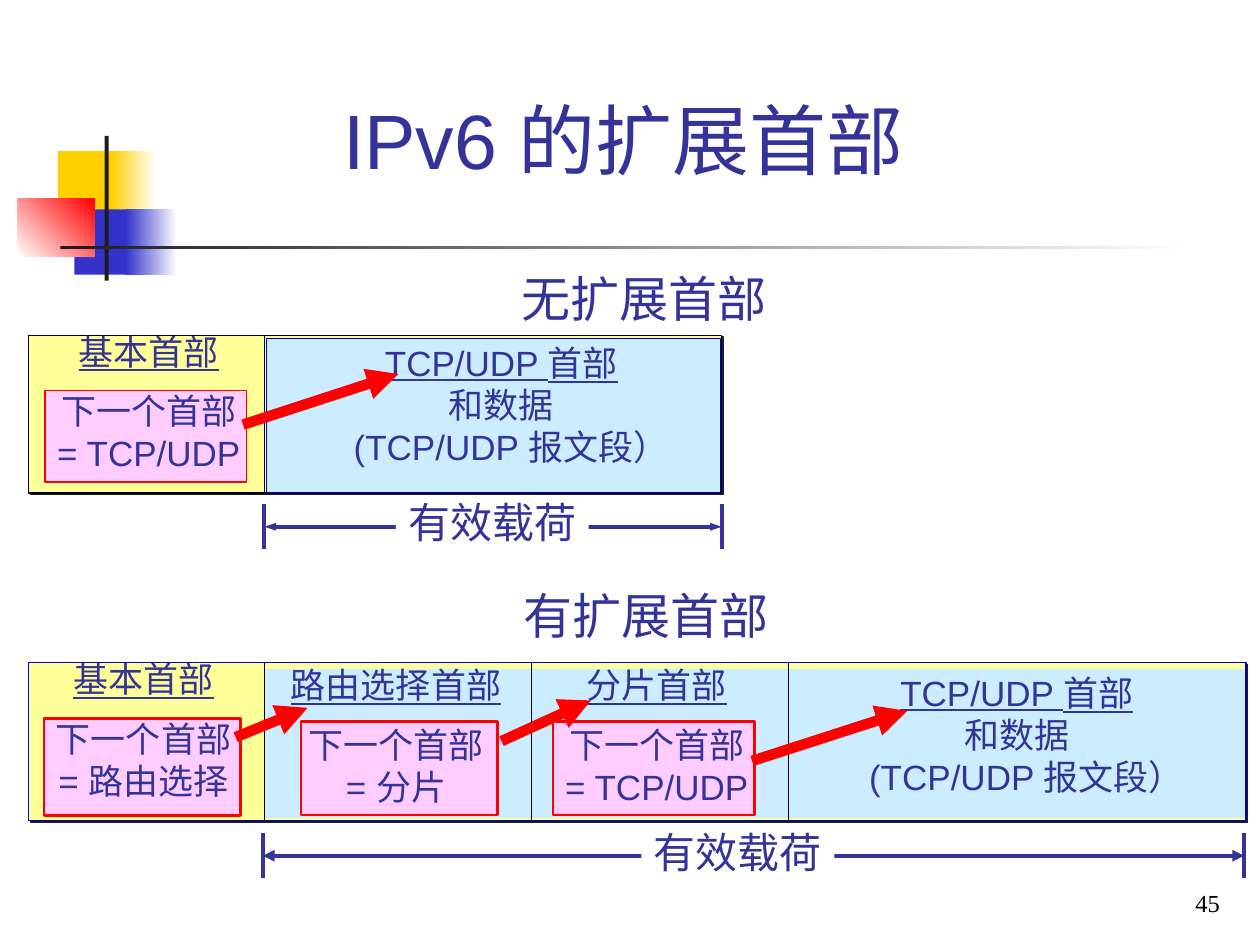
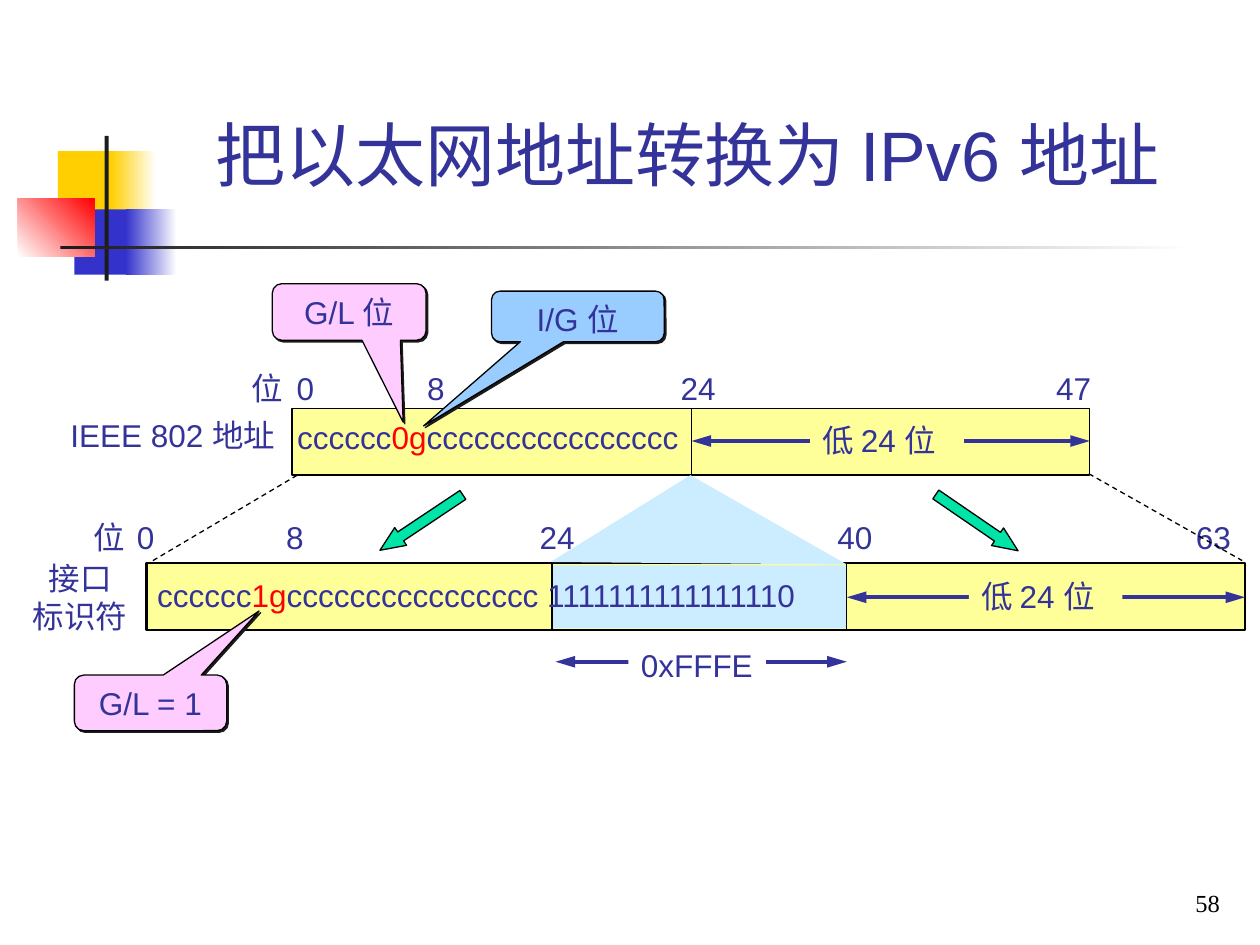
from lxml import etree
from pptx import Presentation
from pptx.dml.color import RGBColor
from pptx.enum.dml import MSO_LINE_DASH_STYLE as Dash
from pptx.enum.shapes import MSO_CONNECTOR as Connector, MSO_SHAPE as Shape
from pptx.enum.text import MSO_ANCHOR as Anchor, PP_ALIGN as Align
from pptx.oxml.ns import qn
from pptx.util import Cm, Pt

INK = RGBColor(0x33, 0x33, 0x99)
BLACK = RGBColor(0, 0, 0)
WHITE = RGBColor(0xFF, 0xFF, 0xFF)
CHARCOAL = RGBColor(0x1C, 0x1C, 0x1C)
RED = RGBColor(0xFF, 0, 0)
GOLD = RGBColor(0xFF, 0xCF, 0x01)
BLUE = RGBColor(0x33, 0x33, 0xCC)
EDGE_BLUE = RGBColor(0, 0, 0xCC)
YELLOW = RGBColor(0xFF, 0xFF, 0x99)
PINK = RGBColor(0xFF, 0xCC, 0xFF)
PALE_BLUE = RGBColor(0xCC, 0xEC, 0xFF)
SKY = RGBColor(0x99, 0xCC, 0xFF)
GREEN = RGBColor(0, 0xE4, 0xA8)

ROW_HEIGHT = 3.18
BAR_HEIGHT = 1.35
LINE_HEIGHT = 1.02


def style_shape(shape, fill, line=None, weight=0.75, shadow=False):
    shape.shadow.inherit = False
    shape.fill.solid()
    shape.fill.fore_color.rgb = fill
    if line is None:
        shape.line.fill.background()
    else:
        shape.line.color.rgb = line
        shape.line.width = Pt(weight)
    if shadow:
        effects = shape._element.spPr.find(qn("a:effectLst"))
        outer = etree.SubElement(effects, qn("a:outerShdw"), dist=str(Pt(1.4)),
                                 dir="2700000", algn="ctr", rotWithShape="0")
        etree.SubElement(outer, qn("a:srgbClr"), val=str(CHARCOAL))


def add_shape(page, area, fill, kind=Shape.RECTANGLE, adjust=(), **style):
    shape = page.shapes.add_shape(kind, *map(Cm, area))
    for index, value in enumerate(adjust):
        shape.adjustments[index] = value
    style_shape(shape, fill, **style)
    return shape


def add_fade(page, area, start, end, angle=0):
    shape = add_shape(page, area, start)
    shape.fill.gradient()
    shape.fill.gradient_angle = angle
    for stop, position, color in zip(shape.fill.gradient_stops, (0, 1), (start, end)):
        stop.position = position
        stop.color.rgb = color


def add_line(page, start, end, color=BLACK, weight=0.75, dash=None,
             head=False, tail=False, tip=("med", "med")):
    line = page.shapes.add_connector(Connector.STRAIGHT, *map(Cm, (*start, *end)))
    line.line.color.rgb = color
    line.line.width = Pt(weight)
    if dash:
        line.line.dash_style = dash
    for name, wanted in (("a:headEnd", head), ("a:tailEnd", tail)):
        if wanted:
            etree.SubElement(line.line._get_or_add_ln(), qn(name),
                             type="triangle", w=tip[0], len=tip[1])
    etree.SubElement(line._element.spPr, qn("a:effectLst"))


def write(shape, text, size=18, color=INK, font="Arial", align=Align.LEFT,
          anchor=Anchor.TOP, wrap=False, accent=None, headed=False,
          gap=0, shift=0, tabs=()):
    frame = shape.text_frame
    frame.word_wrap = wrap
    frame.vertical_anchor = anchor
    lines = text.split("\n")
    for index, content in enumerate(lines):
        para = frame.paragraphs[0] if index == 0 else frame.add_paragraph()
        para.alignment = align
        if index == 1 and gap:
            para.space_before = Pt(gap)
        properties = para._p.get_or_add_pPr()
        if shift and index == len(lines) - 1:
            properties.set("marL", str(Cm(shift)))
        if tabs:
            tab_list = etree.SubElement(properties, qn("a:tabLst"))
            for stop in tabs:
                etree.SubElement(tab_list, qn("a:tab"), pos=str(Cm(stop)), algn="l")
        for part in content.partition(accent) if accent else (content,):
            span = para.add_run()
            span.text = part
            span.font.name = font
            span.font.size = Pt(size)
            span.font.color.rgb = RED if part == accent else color
            if headed and index == 0:
                span.font.underline = True


def add_text(page, area, text, fill=None, **style):
    box = page.shapes.add_textbox(*map(Cm, area))
    if fill is not None:
        box.fill.solid()
        box.fill.fore_color.rgb = fill
    write(box, text, **style)


def add_page(deck, title, title_area, title_size, number):
    page = deck.slides.add_slide(deck.slide_layouts[6])
    add_shape(page, (1.17, 3.05, 1.22, 1.32), GOLD)
    add_fade(page, (2.24, 3.05, 0.91, 1.32), GOLD, WHITE)
    add_shape(page, (1.5, 4.22, 1.17, 1.32), BLUE)
    add_fade(page, (2.54, 4.22, 1.02, 1.32), BLUE, WHITE)
    add_fade(page, (0.36, 4.01, 1.55, 1.17), WHITE, RED, angle=45)
    add_shape(page, (2.11, 2.74, 0.08, 2.92), CHARCOAL)
    add_fade(page, (1.22, 4.95, 22.86, 0.08), CHARCOAL, WHITE)
    add_text(page, title_area, title, size=title_size, align=Align.CENTER,
             anchor=Anchor.BOTTOM, wrap=True)
    add_text(page, (19.56, 17.35, 5.28, 1.27), number, size=14, color=BLACK,
             font="Times New Roman", align=Align.RIGHT, anchor=Anchor.BOTTOM, wrap=True)
    return page


def add_header(page, name, following, box_area, text_area, weight=1.5):
    add_shape(page, box_area, PINK, line=RED, weight=weight)
    add_text(page, (*text_area, 3.15), f"{name}\n下一个首部\n= {following}",
             size=20, align=Align.CENTER, headed=True, gap=10)


def add_segment(page, left, top):
    add_text(page, (left, top, 7.42, 2.79), "TCP/UDP 首部\n和数据\n(TCP/UDP 报文段）",
             size=20, align=Align.CENTER, headed=True, shift=0.39)


def add_payload(page, left, right, middle, label_left, label_top, tip):
    add_line(page, (left, middle), (right, middle), INK, 2.25,
             head=True, tail=True, tip=tip)
    add_text(page, (label_left, label_top, 3.89, 1.27), "有效载荷", fill=WHITE,
             size=24, align=Align.CENTER)
    for edge in (left, right):
        add_line(page, (edge, middle - 0.46), (edge, middle + 0.44), INK, 2.25)


def add_pointers(page, *pointers):
    for start, end in pointers:
        add_line(page, start, end, RED, 6, tail=True)


def add_range(page, left, right, middle, label, label_area, fill):
    add_line(page, (left, middle), (right, middle), INK, 2.25,
             head=True, tail=True, tip=("med", "lg"))
    add_text(page, (*label_area, LINE_HEIGHT), label, fill=fill)


def add_callout(page, area, text, fill, tip):
    callout = add_shape(page, area, fill, Shape.ROUNDED_RECTANGULAR_CALLOUT,
                        (*tip, 0.167), line=BLACK, shadow=True)
    write(callout, text, align=Align.CENTER, wrap=True)


def build_extension_headers(deck):
    page = add_page(deck, "IPv6 的扩展首部 ", (3.2, 1.52, 19.1, 2.34), 44, "45")
    plain_top, extended_top = 6.76, 13.36

    add_payload(page, 5.33, 14.55, 10.62, 7.98, 9.88, ("sm", "med"))
    add_shape(page, (0.58, plain_top, 13.97, ROW_HEIGHT), YELLOW, line=BLACK, shadow=True)
    add_shape(page, (5.38, 6.83, 9.14, 3.1), PALE_BLUE, line=EDGE_BLUE)
    add_header(page, "基本首部", "TCP/UDP", (0.91, 7.87, 4.06, 1.85),
               (0.89, 6.53, 4.22), weight=0.75)
    add_line(page, (5.33, plain_top), (5.33, plain_top + ROW_HEIGHT))
    add_segment(page, 6.4, plain_top)
    add_pointers(page, ((4.9, 8.56), (8.03, 7.54)))

    add_payload(page, 5.3, 25.08, 17.25, 12.93, 16.54, ("med", "med"))
    add_shape(page, (0.58, extended_top, 24.54, ROW_HEIGHT), YELLOW,
              line=EDGE_BLUE, shadow=True)
    add_shape(page, (5.33, 13.49, 19.76, 3), PALE_BLUE)
    for name, following, box_area, text_area in (
        ("基本首部", "路由选择", (0.89, 14.48, 3.96, 1.96), (0.84, 13.13, 4.11)),
        ("路由选择首部", "分片", (6.07, 14.55, 3.96, 1.88), (5.61, 13.26, 4.75)),
        ("分片首部", "TCP/UDP", (11.15, 14.55, 4.06, 1.88), (11.13, 13.26, 4.22)),
    ):
        add_header(page, name, following, box_area, text_area)
    for edge in (5.33, 10.72, 15.9):
        add_line(page, (edge, extended_top), (edge, extended_top + ROW_HEIGHT))
    add_segment(page, 16.79, 13.41)
    add_pointers(page, ((4.75, 14.86), (6.2, 14.27)),
                 ((10.11, 14.94), (11.91, 14.12)),
                 ((15.16, 15.34), (18.29, 14.33)))

    for left, top, caption in ((10.26, 5.28, "无扩展首部"), (10.31, 11.68, "有扩展首部")):
        add_text(page, (left, top, 5.44, 1.45), caption, size=28, font="Roboto")


def build_address_conversion(deck):
    page = add_page(deck, "把以太网地址转换为 IPv6 地址 ",
                    (3.2, 1.73, 21.64, 2.34), 40, "58")
    address_top, identifier_top = 8.23, 11.35

    add_shape(page, (5.89, address_top, 16.08, BAR_HEIGHT), YELLOW, line=BLACK)
    add_shape(page, (2.95, identifier_top, 22.15, BAR_HEIGHT), YELLOW,
              line=BLACK, weight=1.5)
    add_shape(page, (11.15, 11.4, 5.92, 1.27), PALE_BLUE)
    wedge = page.shapes.build_freeform(Cm(13.92), Cm(9.58))
    wedge.add_line_segments([(Cm(11.1), Cm(11.33)), (Cm(17.07), Cm(11.38))])
    style_shape(wedge.convert_to_shape(), PALE_BLUE)

    for edge, top in ((13.94, address_top), (11.13, identifier_top), (17.07, identifier_top)):
        add_line(page, (edge, top), (edge, top + BAR_HEIGHT))
    add_range(page, 13.94, 21.97, 8.89, "低 24 位", (16.33, 8.36, 3.1), YELLOW)
    add_range(page, 17.07, 25.1, 12.04, "低 24 位", (19.53, 11.51, 3.1), YELLOW)
    add_range(page, 11.2, 17.07, 13.34, "0xFFFE", (12.67, 12.9, 2.77), WHITE)

    add_text(page, (5.74, 8.31, 8.2, LINE_HEIGHT), "cccccc0gcccccccccccccccc", accent="0g")
    add_text(page, (2.92, 11.48, 14.02, LINE_HEIGHT),
             "cccccc1gcccccccccccccccc 1111111111111110", accent="1g")
    add_text(page, (4.83, 7.32, 17.48, LINE_HEIGHT), "位\t0\t8\t24\t47",
             tabs=(0.9, 3.53, 8.64, 16.21))
    add_text(page, (1.63, 10.31, 23.47, LINE_HEIGHT), "位\t0\t8\t24\t40\t63",
             tabs=(0.88, 3.89, 9, 15, 22.23))
    add_text(page, (1.17, 8.26, 4.78, LINE_HEIGHT), "IEEE 802 地址")
    add_text(page, (0.41, 11.15, 2.41, 1.78), "接口\n标识符", align=Align.CENTER)

    for left, turn in ((8.28, 56.3), (19.48, 304.4)):
        arrow = add_shape(page, (left, 9.53, 0.43, 2.01), GREEN, Shape.DOWN_ARROW,
                          (0.5, 1.166), line=BLACK)
        arrow.rotation = turn
    for start, end in (((21.95, 9.55), (25.04, 11.3)), ((5.99, 9.58), (3, 11.35))):
        add_line(page, start, end, dash=Dash.DASH)

    add_callout(page, (9.91, 5.87, 3.48, 1.02), "I/G 位", SKY, (-0.894, 2.165))
    add_callout(page, (5.49, 5.72, 3.1, 1.14), "G/L 位", PINK, (0.351, 1.948))
    add_callout(page, (1.5, 13.61, 3.07, 1.12), "G/L = 1", PINK, (0.713, -1.654))


def main():
    deck = Presentation()
    deck.slide_width, deck.slide_height = Cm(25.4), Cm(19.05)
    build_extension_headers(deck)
    build_address_conversion(deck)
    deck.save("out.pptx")


if __name__ == "__main__":
    main()
